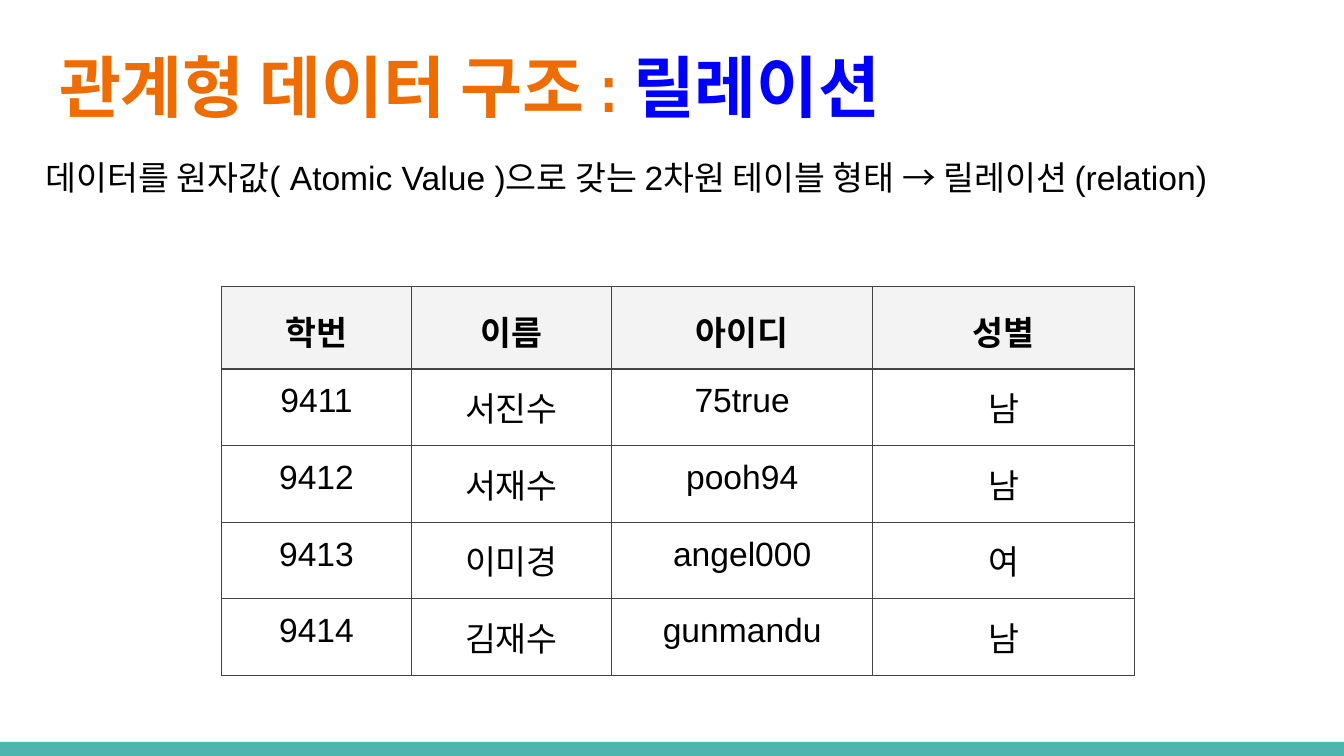
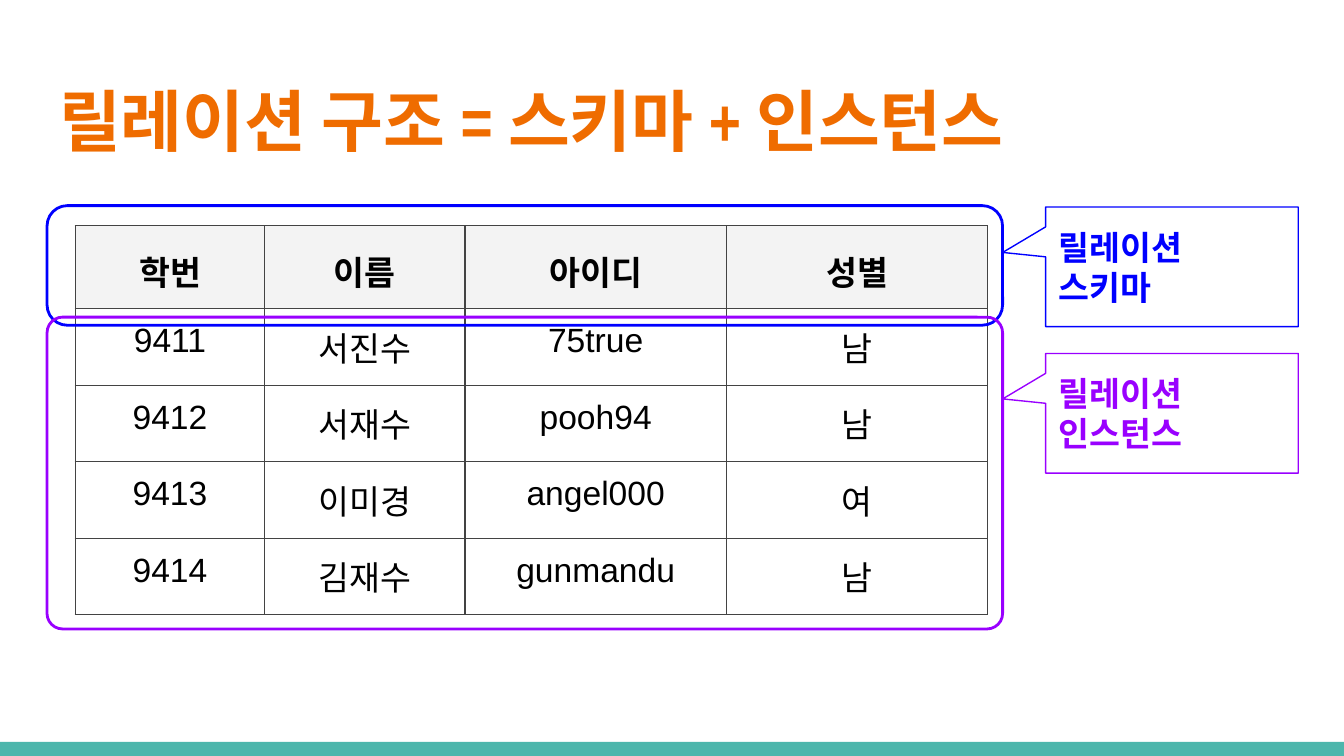
from lxml import etree
from pptx import Presentation
from pptx import util as u
from pptx.dml.color import RGBColor
from pptx.enum import shapes, text
from pptx.oxml import ns

HUES = {
    "band": "4DB6AC", "title": "EF6C00", "blue": "0000FF", "violet": "9900FF",
    "ink": "000000", "rule": "434343", "head": "F3F3F3", "white": "FFFFFF",
}
COLS, ROWS = 100, 56.25
TITLE = {"size": u.Pt(36), "name": "Arial Narrow", "bold": True}
BODY = {"size": u.Pt(18), "name": "Arial", "bold": False}
BOLD = {**BODY, "bold": True}
INSET = {f"margin_{side}": u.Inches(0.1) for side in ("left", "right", "top", "bottom")}
FRAME = {**INSET, "word_wrap": True, "auto_size": text.MSO_AUTO_SIZE.NONE}
TOP, MID = text.MSO_ANCHOR.TOP, text.MSO_ANCHOR.MIDDLE
LEFT, CENTER = text.PP_ALIGN.LEFT, text.PP_ALIGN.CENTER

WIDTHS = [14.1, 14.9, 19.45, 19.45]
HEIGHTS = [6.1] + [5.7] * 4
PEOPLE = [
    ["학번", "이름", "아이디", "성별"],
    ["9411", "서진수", "75true", "남"],
    ["9412", "서재수", "pooh94", "남"],
    ["9413", "이미경", "angel000", "여"],
    ["9414", "김재수", "gunmandu", "남"],
]


def apply(item, form):
    for key, value in form.items():
        setattr(item, key, value)


def shade(hue):
    return RGBColor.from_string(HUES[hue])


class Deck:
    def __init__(self):
        self.show = Presentation()
        apply(self.show, {"slide_width": u.Inches(10), "slide_height": u.Inches(5.625)})
        self.slide = None

    def across(self, cols):
        return round(self.show.slide_width * cols / COLS)

    def down(self, rows):
        return round(self.show.slide_height * rows / ROWS)

    def place(self, left, top, width, height):
        return self.across(left), self.down(top), self.across(width), self.down(height)

    def page(self, top, *runs):
        self.slide = self.show.slides.add_slide(self.show.slide_layouts[5])
        self.shape("RECTANGLE", (0, 55.2, COLS, 1.05), fill="band")
        head = self.slide.shapes.title
        apply(head, dict(zip(("left", "top", "width", "height"), self.place(3.4, top, 93.2, 7.7))))
        self.letter(head.text_frame, [runs], TITLE)

    def letter(self, frame, lines, font, anchor=TOP, align=LEFT):
        apply(frame, {**FRAME, "vertical_anchor": anchor})
        for i, line in enumerate(lines):
            para = frame.paragraphs[0] if i == 0 else frame.add_paragraph()
            para.alignment = align
            for words, hue in line:
                self.run(para, words, font, hue)

    def run(self, para, words, font, hue):
        run = para.add_run()
        run.text = words
        apply(run.font, font)
        run.font.color.rgb = shade(hue)

    def label(self, spot, words):
        box = self.slide.shapes.add_textbox(*self.place(*spot))
        self.letter(box.text_frame, [[(words, "ink")]], BODY)

    def shape(self, kind, spot, fill=None, line=None, weight=0.75, adjust=()):
        form = self.slide.shapes.add_shape(
            getattr(shapes.MSO_SHAPE, kind), *self.place(*spot))
        form.shadow.inherit = False
        for i, value in enumerate(adjust):
            form.adjustments[i] = value
        self.paint(form.fill, fill)
        self.paint(form.line.fill, line)
        if line:
            form.line.width = u.Pt(weight)
        return form

    def paint(self, fill, hue):
        if hue:
            fill.solid()
            fill.fore_color.rgb = shade(hue)
        else:
            fill.background()

    def ring(self, spot, hue, bend):
        self.shape("ROUNDED_RECTANGLE", spot, line=hue, weight=1.5, adjust=[bend])

    def note(self, top, hue, *lines):
        form = self.shape("RECTANGULAR_CALLOUT", (77.8, top, 18.8, 8.9),
                          fill="white", line=hue, adjust=(-0.67, -0.12))
        self.letter(form.text_frame, [[(words, hue)] for words in lines], BOLD, MID)

    def table(self, left, top, data):
        spot = self.place(left, top, sum(WIDTHS), sum(HEIGHTS))
        grid = self.slide.shapes.add_table(len(data), len(data[0]), *spot).table
        apply(grid, {"first_row": False, "horz_banding": False})
        for col, width in zip(grid.columns, WIDTHS):
            col.width = self.across(width)
        for i, (row, height, words) in enumerate(zip(grid.rows, HEIGHTS, data)):
            row.height = self.down(height)
            for cell, word in zip(row.cells, words):
                self.cell(cell, word, i == 0)

    def cell(self, cell, word, first):
        self.edge(cell)
        self.paint(cell.fill, "head" if first else None)
        apply(cell, {**INSET, "vertical_anchor": TOP})
        para = cell.text_frame.paragraphs[0]
        apply(para, {"alignment": CENTER, "line_spacing": 1.15 if first else 1.0})
        self.run(para, word, BOLD if first else BODY, "ink")

    def edge(self, cell):
        props = cell._tc.get_or_add_tcPr()
        for side in "LRTB":
            line = etree.SubElement(props, ns.qn(f"a:ln{side}"), w=str(u.Pt(0.75)))
            fill = etree.SubElement(line, ns.qn("a:solidFill"))
            etree.SubElement(fill, ns.qn("a:srgbClr"), val=HUES["rule"])


def main():
    deck = Deck()

    deck.page(2.4, ("관계형 데이터 구조 : ", "title"), ("릴레이션", "blue"))
    deck.table(16.5, 21.3, PEOPLE)
    deck.label((2.4, 10.7, 96, 7.7),
               "데이터를 원자값( Atomic Value )으로 갖는 2차원 테이블 형태 → 릴레이션 (relation)")

    deck.page(4.9, ("릴레이션 구조 = 스키마 + 인스턴스", "title"))
    deck.table(5.6, 16.8, PEOPLE)
    deck.ring((3.5, 15.3, 71.1, 8.9), "blue", 0.17)
    deck.ring((3.5, 23.6, 71.1, 23.2), "violet", 0.05)
    deck.note(15.4, "blue", "릴레이션", "스키마")
    deck.note(26.3, "violet", "릴레이션", "인스턴스")

    deck.show.save("out.pptx")


if __name__ == "__main__":
    main()
